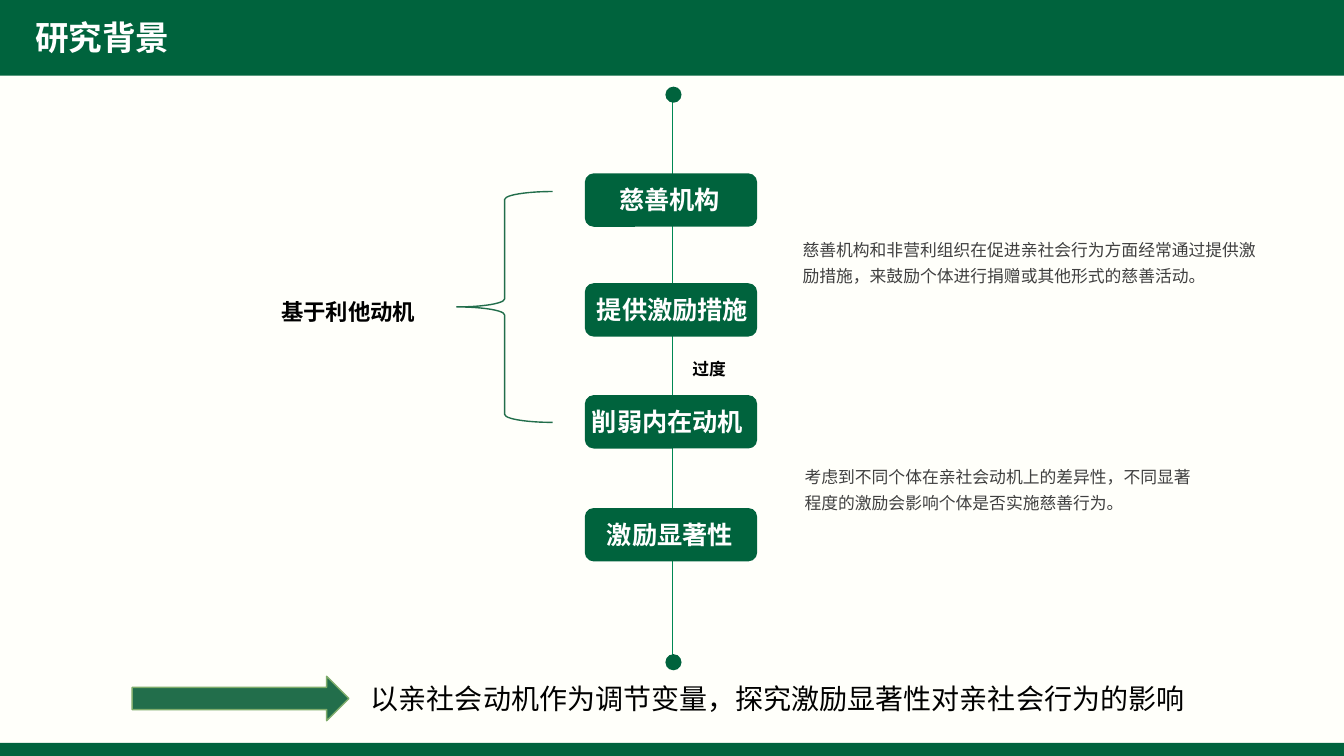
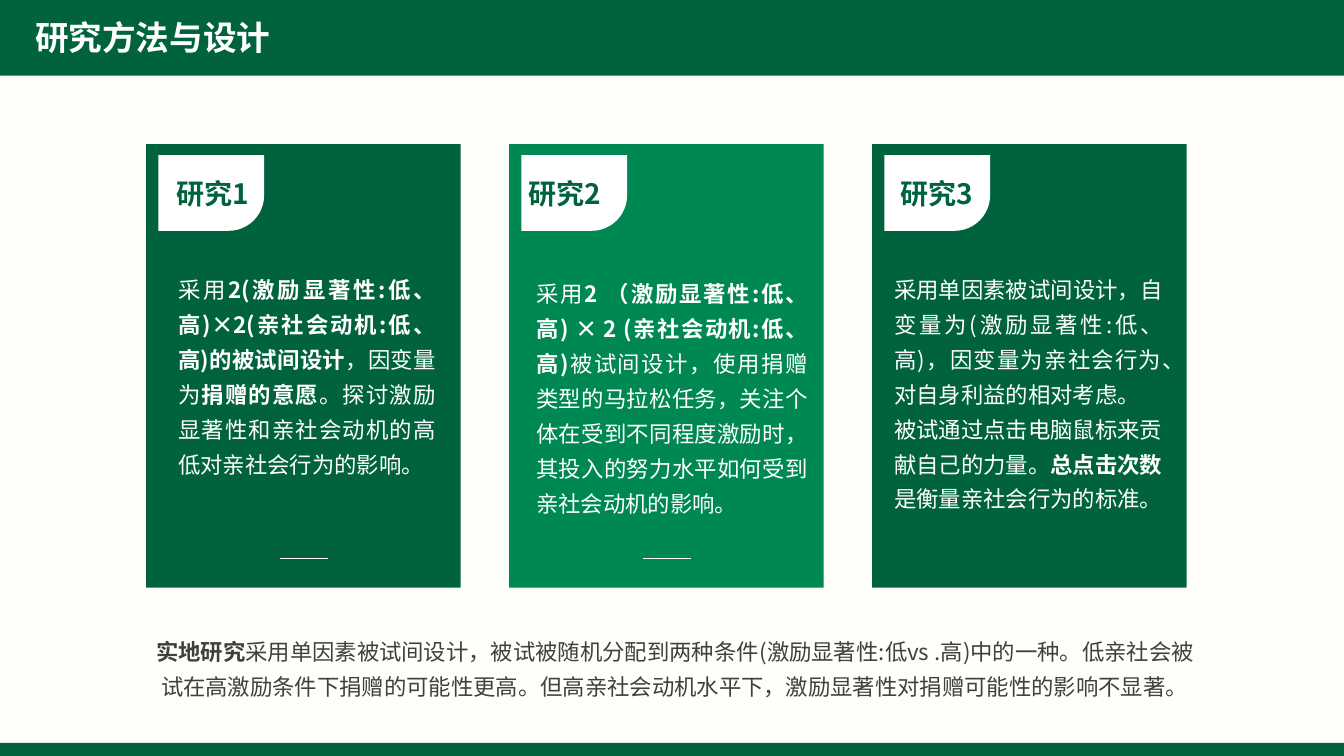
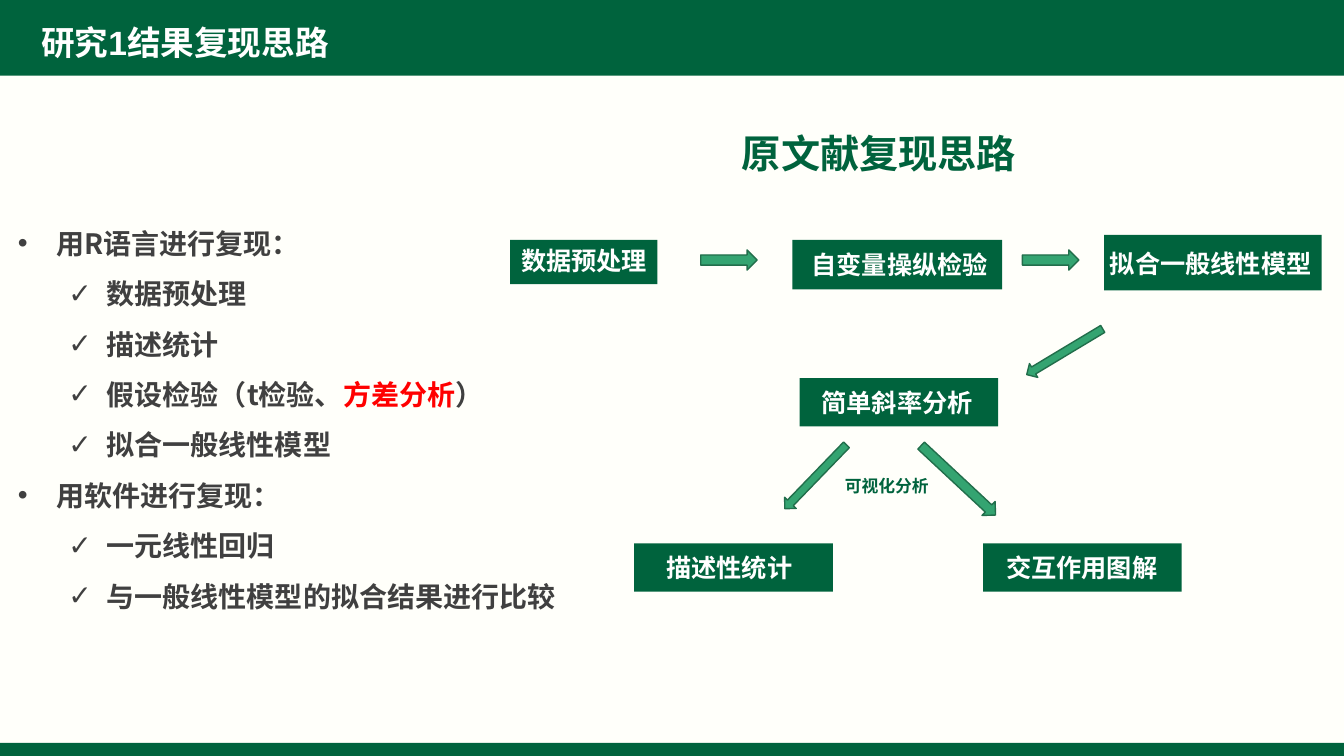
"""Build three slides on incentive salience and prosocial behaviour."""
from dataclasses import dataclass
from typing import Any, NamedTuple, Optional

from lxml import etree
from pptx import Presentation
from pptx.dml.color import RGBColor
from pptx.enum.lang import MSO_LANGUAGE_ID
from pptx.enum.shapes import MSO_CONNECTOR, MSO_SHAPE
from pptx.enum.text import MSO_AUTO_SIZE, PP_ALIGN
from pptx.oxml.ns import qn
from pptx.util import Emu, Pt

PX = 9144
WIDTH, HEIGHT = 1333, 750
RECT, OVAL, ROUND = MSO_SHAPE.RECTANGLE, MSO_SHAPE.OVAL, MSO_SHAPE.ROUNDED_RECTANGLE
TAB, BRACE = MSO_SHAPE.ROUND_1_RECTANGLE, MSO_SHAPE.LEFT_BRACE
RIGHT_ARROW, DOWN_ARROW = MSO_SHAPE.RIGHT_ARROW, MSO_SHAPE.DOWN_ARROW
STRAIGHT = MSO_CONNECTOR.STRAIGHT
LEFT, CENTER, RIGHT, JUSTIFY = PP_ALIGN.LEFT, PP_ALIGN.CENTER, PP_ALIGN.RIGHT, PP_ALIGN.JUSTIFY
GROW, FIXED = MSO_AUTO_SIZE.SHAPE_TO_FIT_TEXT, MSO_AUTO_SIZE.NONE
CHINESE = MSO_LANGUAGE_ID.SIMPLIFIED_CHINESE


@dataclass(frozen=True)
class Theme:
    """Colours, fonts and type sizes of the deck."""
    paper: str = "FFFFFA"
    green: str = "00633D"
    bright: str = "008853"
    edge: str = "226E4B"
    arrow: str = "34A471"
    leaf: str = "7FAC6B"
    white: str = "FFFFFF"
    black: str = "000000"
    grey: str = "404040"
    red: str = "FF0000"
    latin: str = "Arial"
    cjk: str = "Noto Sans CJK SC"
    small: int = 12
    body: int = 16
    label: int = 18
    lead: int = 20
    title: int = 24
    heading: int = 28


T = Theme()


class Box(NamedTuple):
    """A rectangle in px."""
    x: int
    y: int
    w: int
    h: int


class Span(NamedTuple):
    """A stretch of text in one format."""
    text: str
    bold: bool = False
    color: Optional[str] = None


class Para(NamedTuple):
    """A paragraph, with an optional bullet."""
    spans: tuple[Span, ...]
    align: PP_ALIGN = LEFT
    bullet: str = ""
    level: int = 0


@dataclass(frozen=True)
class Style:
    """The look of a text box."""
    size: int
    color: str
    font: str = T.cjk
    spacing: Optional[float] = None
    inset: tuple[int, int] = (10, 5)
    wrap: bool = True
    fit: MSO_AUTO_SIZE = GROW


@dataclass(frozen=True)
class Node:
    """A filled box with its label."""
    text: str
    box: Box
    label: Box


@dataclass(frozen=True)
class Card:
    """A study card with its tab and description."""
    name: str
    name_x: int
    fill: str
    body: Box
    paras: tuple[Para, ...]
    rule: bool = True


@dataclass(frozen=True)
class Arrow:
    """A block arrow."""
    kind: MSO_SHAPE
    box: Box
    rotation: int = 0


TITLE = Style(T.title, T.white, T.latin)
STEP = Style(T.label, T.white, T.latin, inset=(0, 0))
NODE = Style(T.label, T.white, wrap=False)
REMARK = Style(T.small, T.grey, spacing=1.3, inset=(13, 7))
CARD_BODY = Style(T.body, T.white, spacing=1.3)


def put(obj: Any, **values: Any) -> None:
    """Set several attributes of an object."""
    for name, value in values.items():
        setattr(obj, name, value)


def rgb(color: str) -> RGBColor:
    """Turn a hex string into a colour."""
    return RGBColor.from_string(color)


def emu(*lengths: int) -> list[Emu]:
    """Turn px lengths into EMU."""
    return [Emu(n * PX) for n in lengths]


def shape(s: Any, kind: MSO_SHAPE, box: Box, fill: Optional[str] = None,
          line: Optional[str] = None, rotation: int = 0) -> Any:
    """Draw a preset shape."""
    sp = s.shapes.add_shape(kind, *emu(*box))
    put(sp, rotation=rotation)
    sp.shadow.inherit = False
    if fill:
        sp.fill.solid()
        sp.fill.fore_color.rgb = rgb(fill)
    else:
        sp.fill.background()
    if line:
        sp.line.color.rgb = rgb(line)
        sp.line.width = Pt(1)
    else:
        sp.line.fill.background()
    return sp


def rule(s: Any, start: tuple[int, int], end: tuple[int, int], color: str, width: float) -> None:
    """Draw a straight line."""
    line = s.shapes.add_connector(STRAIGHT, *emu(*start, *end))
    line.line.color.rgb = rgb(color)
    line.line.width = Pt(width)
    etree.SubElement(line.element.spPr, qn("a:effectLst"))


def add_bullet(p: Any, bullet: str, level: int) -> None:
    """Give a paragraph a hanging bullet."""
    hang, margin = emu(38, 38 + 50 * level)
    pPr = p._p.get_or_add_pPr()
    pPr.set("marL", str(margin))
    pPr.set("indent", str(-hang))
    etree.SubElement(pPr, qn("a:buFont")).set("typeface", T.latin)
    etree.SubElement(pPr, qn("a:buChar")).set("char", bullet)


def write(s: Any, box: Box, style: Style, *paras: Para) -> None:
    """Add a text box of formatted paragraphs."""
    tf = s.shapes.add_textbox(*emu(*box)).text_frame
    side, top = emu(*style.inset)
    put(tf, word_wrap=style.wrap, auto_size=style.fit, margin_left=side,
        margin_right=side, margin_top=top, margin_bottom=top)
    for i, para in enumerate(paras):
        p = tf.add_paragraph() if i else tf.paragraphs[0]
        put(p, alignment=para.align, level=para.level)
        if style.spacing:
            p.line_spacing = style.spacing
        if para.bullet:
            add_bullet(p, para.bullet, para.level)
        for span in para.spans:
            r = p.add_run()
            r.text = span.text
            put(r.font, size=Pt(style.size), bold=span.bold, name=style.font, language_id=CHINESE)
            r.font.color.rgb = rgb(span.color or style.color)
            etree.SubElement(r.font._element, qn("a:ea")).set("typeface", T.cjk)


def plain(text: str, align: PP_ALIGN = LEFT) -> Para:
    """Make a paragraph of regular text."""
    return Para((Span(text),), align)


def strong(text: str, align: PP_ALIGN = LEFT) -> Para:
    """Make a paragraph of bold text."""
    return Para((Span(text, True),), align)


def item(*spans: Span) -> Para:
    """Make a ticked list item."""
    return Para(spans, bullet="✓", level=1)


def topic(text: str) -> Para:
    """Make a top-level list item."""
    return Para((Span(text, True),), bullet="•")


def new_slide(prs: Any, title: str, box: Box = Box(25, 12, 289, 50)) -> Any:
    """Add a slide with its bands and title."""
    s = prs.slides.add_slide(prs.slide_layouts[6])
    shape(s, RECT, Box(0, 0, WIDTH, 75), T.green)
    shape(s, RECT, Box(0, 737, WIDTH, 13), T.green)
    write(s, box, TITLE, strong(title))
    return s


def draw_node(s: Any, node: Node, kind: MSO_SHAPE, style: Style) -> None:
    """Draw a filled box and its label."""
    shape(s, kind, node.box, T.green)
    write(s, node.label, style, strong(node.text))


def draw_card(s: Any, x: int, card: Card) -> None:
    """Draw a study card."""
    shape(s, RECT, Box(x, 143, 312, 440), card.fill)
    tab = shape(s, TAB, Box(x + 12, 154, 105, 75), T.white)
    tab.adjustments[0] = 0.47
    tab.element.spPr.get_or_add_xfrm().set("flipV", "1")
    write(s, Box(card.name_x, 170, 105, 44), Style(T.lead, T.green), strong(card.name))
    write(s, card.body, CARD_BODY, *card.paras)
    if card.rule:
        rule(s, (x + 133, 554), (x + 180, 554), T.white, 0.5)


def background_slide(prs: Any) -> None:
    """Build the research background slide."""
    s = new_slide(prs, "研究背景")
    rule(s, (667, 94), (667, 663), T.bright, 0.75)
    for y in (86, 649):
        shape(s, OVAL, Box(660, y, 16, 16), T.green)
    steps = (
        ("慈善机构", 172, 614, 287),
        ("提供激励措施", 281, 592, 151),
        ("削弱内在动机", 392, 587, 156),
        ("激励显著性", 504, 602, 131),
    )
    for text, y, x, w in steps:
        draw_node(s, Node(text, Box(580, y, 171, 53), Box(x, y + 11, w, 30)), ROUND, STEP)
    shape(s, BRACE, Box(453, 190, 95, 229), line=T.edge)
    for text, box, size in (("过度", Box(668, 343, 65, 39), T.small),
                            ("基于利他动机", Box(251, 281, 174, 48), T.body)):
        write(s, box, Style(size, T.black, T.latin, 1.3, (13, 7)), strong(text, RIGHT))
    write(s, Box(783, 225, 478, 66), REMARK,
          plain("慈善机构和非营利组织在促进亲社会行为方面经常通过提供激励措施，来鼓励个体进行捐赠或其他形式的慈善活动。"))
    write(s, Box(785, 450, 422, 66), REMARK,
          plain("考虑到不同个体在亲社会动机上的差异性，不同显著程度的激励会影响个体是否实施慈善行为。"))
    shape(s, RIGHT_ARROW, Box(131, 671, 215, 44), T.edge, T.leaf)
    write(s, Box(358, 671, 850, 52), Style(T.lead, T.black, fit=FIXED),
          plain("以亲社会动机作为调节变量，探究激励显著性对亲社会行为的影响"))


def methods_slide(prs: Any) -> None:
    """Build the methods and design slide."""
    s = new_slide(prs, "研究方法与设计")
    cards = (
        Card("研究1", 165, T.green, Box(167, 261, 275, 220), (
            Para((Span("采用"),
                  Span("2(激励显著性:低、高)×2(亲社会动机:低、高)的被试间设计", True),
                  Span("，因变量为"),
                  Span("捐赠的意愿", True),
                  Span("。探讨激励显著性和亲社会动机的高低对亲社会行为的影响。")), JUSTIFY),)),
        Card("研究2", 514, T.bright, Box(522, 265, 289, 255), (
            Para((Span("采用"),
                  Span("2 （激励显著性:低、高) × 2 (亲社会动机:低、高)", True),
                  Span("被试间设计，使用捐赠类型的马拉松任务，关注个体在受到不同程度激励时，"
                       "其投入的努力水平如何受到亲社会动机的影响。")), JUSTIFY),)),
        Card("研究3", 883, T.green, Box(877, 261, 286, 290), (
            plain("采用单因素被试间设计，自变量为(激励显著性:低、高)，"
                  "因变量为亲社会行为、对自身利益的相对考虑。", JUSTIFY),
            Para((Span("被试通过点击电脑鼠标来贡献自己的力量。"),
                  Span("总点击次数", True),
                  Span("是衡量亲社会行为的标准。")))), rule=False),
    )
    for i, card in enumerate(cards):
        draw_card(s, 145 + 360 * i, card)
    write(s, Box(137, 620, 1065, 77), Style(T.body, T.grey, spacing=1.3),
          Para((Span("实地研究", True),
                Span("采用单因素被试间设计，被试被随机分配到两种条件(激励显著性:低vs .高)中的一种。"
                     "低亲社会被试在高激励条件下捐赠的可能性更高。"
                     "但高亲社会动机水平下，激励显著性对捐赠可能性的影响不显著。")), CENTER))


def replication_slide(prs: Any) -> None:
    """Build the replication plan slide."""
    s = new_slide(prs, "研究1结果复现思路", Box(31, 17, 364, 50))
    write(s, Box(726, 123, 339, 57), Style(T.heading, T.green), strong("原文献复现思路", JUSTIFY))
    nodes = (
        Node("数据预处理", Box(506, 238, 146, 44), Box(507, 238, 145, 40)),
        Node("自变量操纵检验", Box(786, 238, 208, 49), Box(795, 242, 195, 40)),
        Node("拟合一般线性模型", Box(1095, 233, 216, 55), Box(1091, 241, 220, 40)),
        Node("简单斜率分析", Box(793, 375, 197, 48), Box(805, 379, 170, 40)),
        Node("描述性统计", Box(629, 539, 197, 48), Box(651, 543, 145, 40)),
        Node("交互作用图解", Box(975, 539, 197, 48), Box(988, 543, 170, 40)),
    )
    for node in nodes:
        draw_node(s, node, RECT, NODE)
    arrows = (
        Arrow(RIGHT_ARROW, Box(695, 248, 56, 20)),
        Arrow(RIGHT_ARROW, Box(1014, 248, 56, 20)),
        Arrow(DOWN_ARROW, Box(1048, 305, 16, 88), 59),
        Arrow(DOWN_ARROW, Box(801, 429, 16, 88), 44),
        Arrow(DOWN_ARROW, Box(941, 426, 19, 101), 313),
    )
    for arrow in arrows:
        shape(s, arrow.kind, arrow.box, T.arrow, T.edge, arrow.rotation)
    write(s, Box(828, 467, 79, 20), Style(T.small, T.green, wrap=False, fit=FIXED),
          strong("可视化分析"))
    write(s, Box(8, 203, 565, 429), Style(T.lead, T.grey, spacing=1.5, fit=FIXED),
          topic("用R语言进行复现："),
          item(Span("数据预处理", True)),
          item(Span("描述统计", True)),
          item(Span("假设检验（t检验、", True), Span("方差分析", True, T.red), Span("）", True)),
          item(Span("拟合一般线性模型", True)),
          topic("用软件进行复现："),
          item(Span("一元线性回归", True)),
          item(Span("与一般线性模型的拟合结果进行比较", True)))


def main() -> None:
    """Build and save the deck."""
    prs = Presentation()
    prs.slide_width, prs.slide_height = emu(WIDTH, HEIGHT)
    paper = prs.slide_master.background.fill
    paper.solid()
    paper.fore_color.rgb = rgb(T.paper)
    for build in (background_slide, methods_slide, replication_slide):
        build(prs)
    prs.save("out.pptx")


if __name__ == "__main__":
    main()
